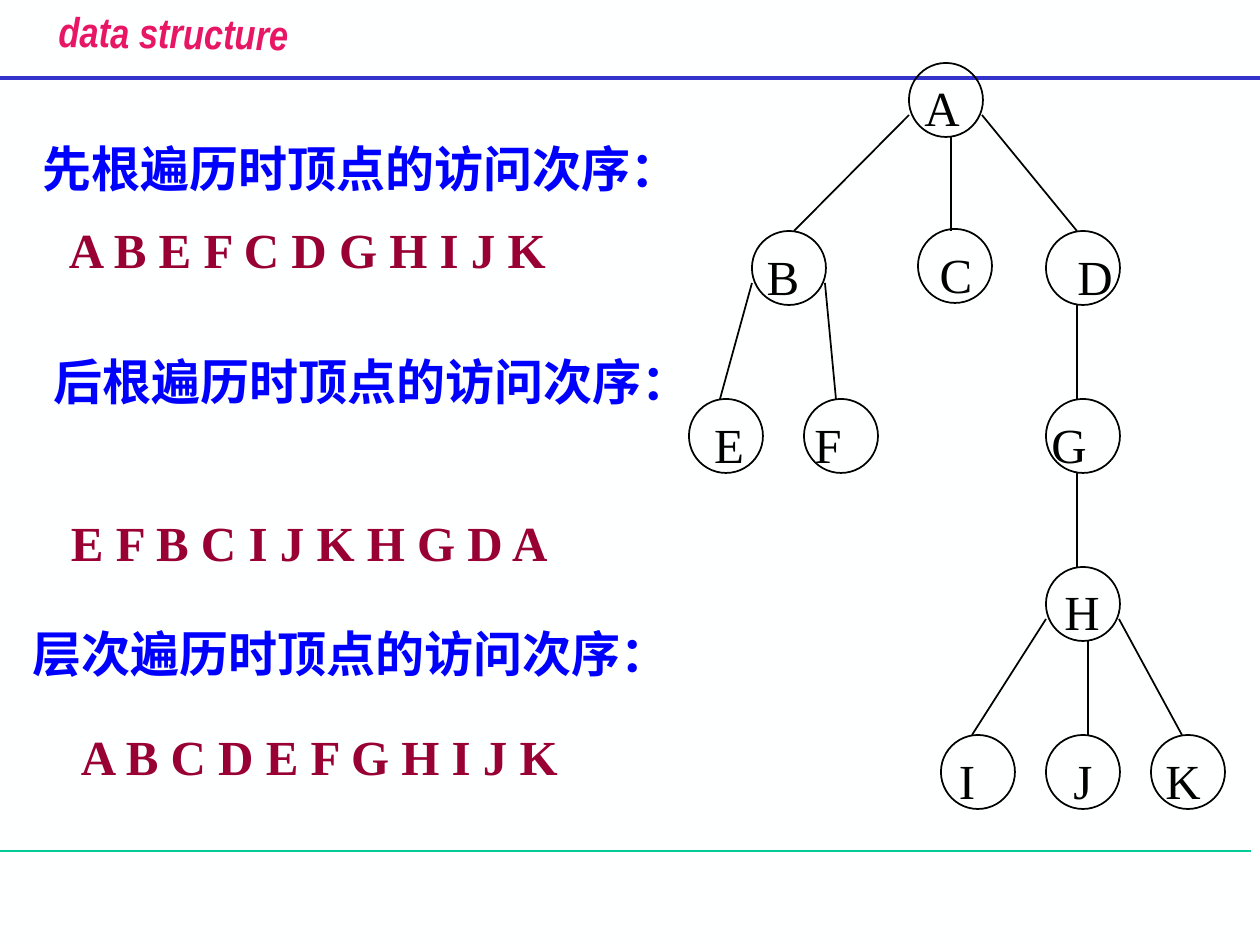
from lxml import etree
from pptx import Presentation
from pptx import util as u
from pptx.dml.color import RGBColor
from pptx.enum import shapes, text
from pptx.oxml.ns import qn

SCALE = u.Inches(1) / 126
COLORS = {"back": "FEFFFF", "title": "E81766", "rule": "3333CC", "foot": "00CC99",
          "heading": "0000FF", "order": "990033", "ink": "000000"}
DIAMETER = 74
LINE_HEIGHT = 56

deck = Presentation()
deck.slide_width, deck.slide_height = (round(n * SCALE) for n in (1260, 945))
page = deck.slides.add_slide(deck.slide_layouts[5])
page.background.fill.solid()
page.background.fill.fore_color.rgb = RGBColor.from_string(COLORS["back"])


def add_line(start, end, color, width):
    points = [round(n * SCALE) for n in (*start, *end)]
    line = page.shapes.add_connector(shapes.MSO_CONNECTOR.STRAIGHT, *points)
    line.line.color.rgb = RGBColor.from_string(COLORS[color])
    line.line.width = u.Pt(width)
    etree.SubElement(line._element.spPr, qn("a:effectLst"))


def write(box, place, words, color, align, **formats):
    box.left, box.top, box.width, box.height = (round(n * SCALE) for n in place)
    frame = box.text_frame
    frame.word_wrap = False
    frame.auto_size = text.MSO_AUTO_SIZE.NONE
    frame.vertical_anchor = text.MSO_ANCHOR.TOP
    for side in ("left", "top", "right", "bottom"):
        setattr(frame, f"margin_{side}", 0)
    para = frame.paragraphs[0]
    para.alignment = align
    span = para.add_run()
    span.text = words
    span.font.color.rgb = RGBColor.from_string(COLORS[color])
    for name, value in {"name": "Times New Roman", "size": u.Pt(28), **formats}.items():
        setattr(span.font, name, value)


add_line((0, 851), (1251, 851), "foot", 0.75)
add_line((0, 78), (1260, 78), "rule", 2.25)

title = page.shapes.title
write(title, (29, 7, 289, 50), "data structure", "title", text.PP_ALIGN.CENTER,
      name="Arial Narrow", size=u.Pt(24), bold=True, italic=True)
title.rotation = 0.8

nodes = [
    ("A", 909, 63, 942), ("B", 752, 231, 783), ("C", 918, 229, 956),
    ("D", 1046, 231, 1095), ("E", 689, 399, 729), ("F", 804, 399, 828),
    ("G", 1046, 399, 1069), ("H", 1046, 567, 1082), ("I", 941, 735, 967),
    ("J", 1046, 735, 1083), ("K", 1151, 735, 1183),
]
for letter, left, top, middle in nodes:
    place = [round(n * SCALE) for n in (left, top, DIAMETER, DIAMETER)]
    circle = page.shapes.add_shape(shapes.MSO_SHAPE.OVAL, *place)
    circle.shadow.inherit = False
    circle.fill.background()
    circle.line.color.rgb = RGBColor.from_string(COLORS["ink"])
    circle.line.width = u.Pt(1)
    label = page.shapes.add_textbox(0, 0, 0, 0)
    write(label, (middle - 25, top + 15, 50, LINE_HEIGHT), letter, "ink",
          text.PP_ALIGN.CENTER)

edges = [
    ((951, 136), (951, 231)), ((909, 115), (794, 231)), ((982, 115), (1077, 231)),
    ((752, 283), (720, 399)), ((825, 283), (836, 399)), ((1077, 305), (1077, 399)),
    ((1077, 473), (1077, 567)), ((1088, 641), (1088, 735)),
    ((1046, 619), (972, 735)), ((1119, 619), (1182, 735)),
]
for start, end in edges:
    add_line(start, end, "ink", 1)

traversals = [
    ("先根遍历时顶点的访问次序：", 43, 138, "heading"),
    ("A B E F C D G H I J K", 69, 219, "order"),
    ("后根遍历时顶点的访问次序：", 54, 351, "heading"),
    ("E F B C I J K H G D A", 71, 513, "order"),
    ("层次遍历时顶点的访问次序：", 33, 623, "heading"),
    ("A B C D E F G H I J K", 81, 727, "order"),
]
for words, left, top, color in traversals:
    box = page.shapes.add_textbox(0, 0, 0, 0)
    write(box, (left, top, 640, LINE_HEIGHT), words, color, text.PP_ALIGN.LEFT, bold=True)

deck.save("out.pptx")
